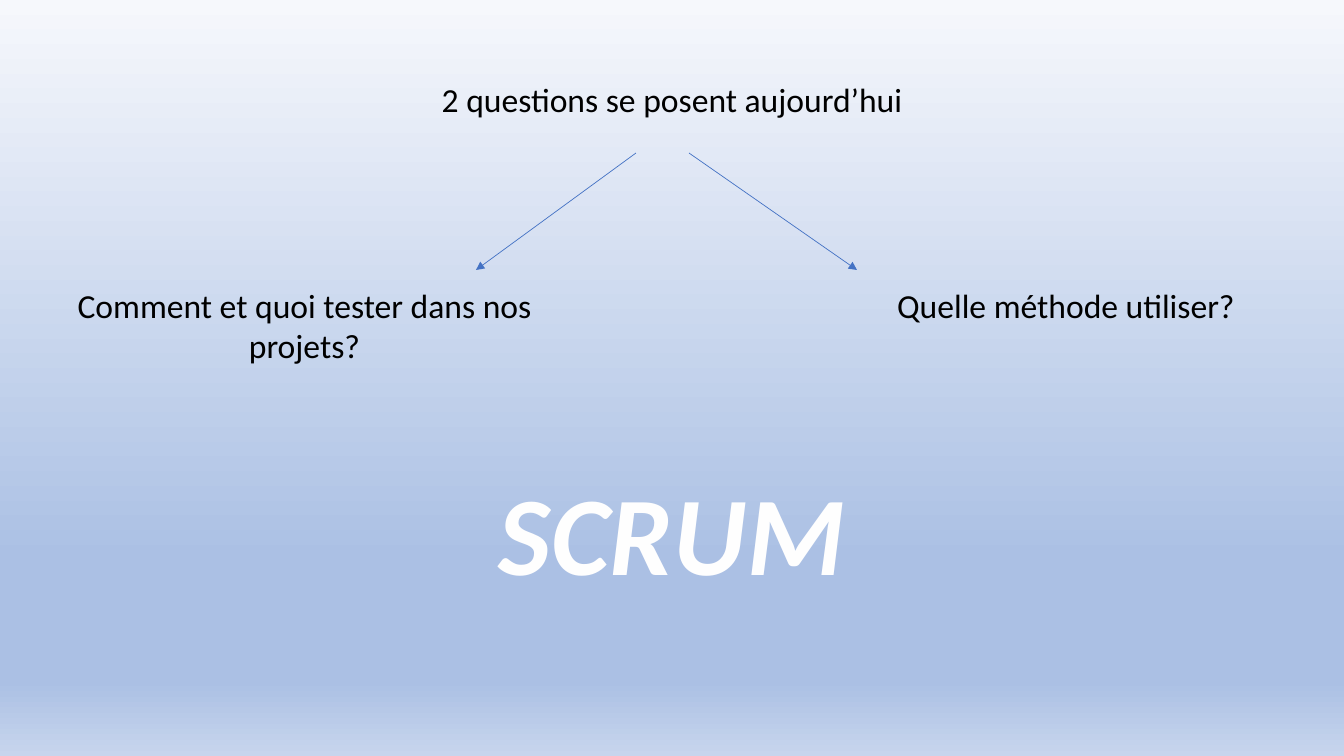
"""Build the slide that asks two project questions and answers with Scrum."""
from dataclasses import dataclass

from lxml.etree import SubElement
from pptx import Presentation
from pptx.dml.color import RGBColor
from pptx.enum.shapes import MSO_CONNECTOR
from pptx.enum.text import MSO_ANCHOR, MSO_AUTO_SIZE, PP_ALIGN
from pptx.oxml import parse_xml
from pptx.oxml.ns import nsdecls, qn
from pptx.util import Emu, Pt

EMU_PER_PX = 914400 / 100.8


@dataclass(frozen=True)
class Theme:
    font: str = "Calibri"
    text: str = "000000"
    accent: str = "4472C4"
    scrum: str = "FEFEFE"
    question_size: int = 24
    scrum_size: int = 80
    arrow_width: float = 0.5
    outline_width: float = 0.75
    background: tuple = ((0, "F6F8FC"), (74, "ABC0E4"), (90, "ABC0E4"), (100, "C7D5ED"))


THEME = Theme()


@dataclass(frozen=True)
class Label:
    text: str
    left: int
    top: int
    width: int
    height: int
    size: int = THEME.question_size
    color: str = THEME.text
    wrap: bool = False
    emphasis: bool = False


@dataclass(frozen=True)
class Arrow:
    start: tuple[int, int]
    end: tuple[int, int]


TITLE = Label("2 questions se posent aujourd’hui", 429, 74, 486, 50)
LABELS = (
    Label("Comment et quoi tester dans nos projets?", 54, 280, 501, 92, wrap=True),
    Label("Quelle méthode utiliser?", 885, 280, 362, 50),
    Label("SCRUM", 487, 459, 370, 146, THEME.scrum_size, THEME.scrum, emphasis=True),
)
ARROWS = (Arrow((636, 153), (476, 270)), Arrow((689, 153), (857, 270)))


def px(value: int) -> Emu:
    """Convert slide pixels to EMU."""
    return Emu(round(value * EMU_PER_PX))


def apply(target, values: dict) -> None:
    """Set every attribute named in the format values."""
    for name, value in values.items():
        setattr(target, name, value)


def paint_background(slide) -> None:
    """Fill the slide with the vertical gradient of the theme."""
    fill = slide.background.fill
    fill.gradient()
    fill.gradient_angle = 270
    stops = next(slide.element.iter(qn("a:gsLst")))
    for stop in list(stops):
        stops.remove(stop)
    for position, color in THEME.background:
        stop = SubElement(stops, qn("a:gs"), pos=str(position * 1000))
        SubElement(stop, qn("a:srgbClr"), val=color)


def add_text_effects(run) -> None:
    """Give a run an accent outline, a soft shadow and wider spacing."""
    properties = run.font._element
    properties.set("spc", "50")
    properties.insert(0, parse_xml(
        f'<a:ln {nsdecls("a")} w="{Pt(THEME.outline_width)}"><a:solidFill>'
        f'<a:srgbClr val="{THEME.accent}"/></a:solidFill></a:ln>'))
    properties.find(qn("a:solidFill")).addnext(parse_xml(
        f'<a:effectLst {nsdecls("a")}><a:outerShdw dist="38100" dir="2700000" algn="tl">'
        f'<a:srgbClr val="{THEME.accent}"><a:alpha val="50000"/></a:srgbClr>'
        '</a:outerShdw></a:effectLst>'))


def fill_label(shape, label: Label) -> None:
    """Place a text shape and write its formatted label."""
    apply(shape, {"left": px(label.left), "top": px(label.top),
                  "width": px(label.width), "height": px(label.height)})
    frame = shape.text_frame
    apply(frame, {"word_wrap": label.wrap, "auto_size": MSO_AUTO_SIZE.SHAPE_TO_FIT_TEXT,
                  "vertical_anchor": MSO_ANCHOR.TOP})
    paragraph = frame.paragraphs[0]
    apply(paragraph, {"alignment": PP_ALIGN.CENTER, "line_spacing": 1.0})
    run = paragraph.add_run()
    run.text = label.text
    apply(run.font, {"name": THEME.font, "size": Pt(label.size),
                     "bold": label.emphasis, "italic": label.emphasis})
    run.font.color.rgb = RGBColor.from_string(label.color)
    if label.emphasis:
        add_text_effects(run)


def add_arrow(slide, arrow: Arrow) -> None:
    """Draw a thin arrow with a triangular head."""
    connector = slide.shapes.add_connector(
        MSO_CONNECTOR.STRAIGHT, *map(px, arrow.start + arrow.end))
    connector.line.width = Pt(THEME.arrow_width)
    connector.line.color.rgb = RGBColor.from_string(THEME.accent)
    SubElement(connector.line._get_or_add_ln(), qn("a:tailEnd"), type="triangle")
    SubElement(connector._element.spPr, qn("a:effectLst"))


def main() -> None:
    """Create and save the presentation."""
    presentation = Presentation()
    apply(presentation, {"slide_width": px(1344), "slide_height": px(756)})
    slide = presentation.slides.add_slide(presentation.slide_layouts[5])
    paint_background(slide)
    fill_label(slide.shapes.title, TITLE)
    for label in LABELS:
        box = slide.shapes.add_textbox(0, 0, 0, 0)
        fill_label(box, label)
    for arrow in ARROWS:
        add_arrow(slide, arrow)
    presentation.save("out.pptx")


if __name__ == "__main__":
    main()
